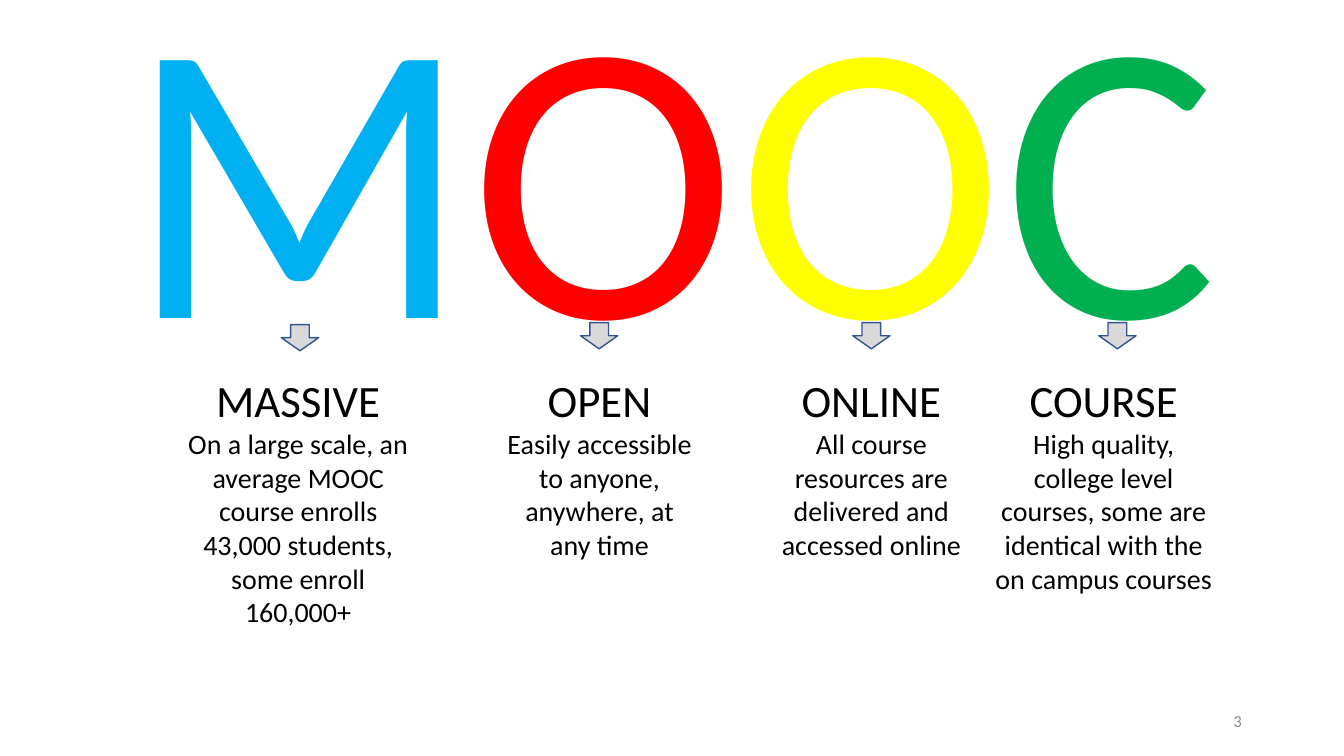
from pptx import Presentation
from pptx.dml.color import RGBColor
from pptx.enum import shapes, text
from pptx.util import Cm, Pt

BLUE = RGBColor(0x00, 0xB0, 0xF0)
RED = RGBColor(0xFF, 0x00, 0x00)
YELLOW = RGBColor(0xFF, 0xFF, 0x00)
GREEN = RGBColor(0x00, 0xB0, 0x50)
BLACK = RGBColor(0x00, 0x00, 0x00)
GREY = RGBColor(0x8C, 0x8C, 0x8C)
ARROW_FILL = RGBColor(0xD9, 0xD9, 0xD9)
ARROW_LINE = RGBColor(0x32, 0x54, 0x91)

FONT = "Calibri"
LETTERS = [("M", BLUE), ("O", RED), ("O", YELLOW), ("C", GREEN)]
COLUMNS = [
    (4.29, 6.45, 6.76, "MASSIVE",
     "On a large scale, an average MOOC course enrolls 43,000 students, some enroll 160,000+"),
    (12.52, 5.18, 6.4, "OPEN",
     "Easily accessible to anyone, anywhere, at any time"),
    (19.1, 5.72, 5.05, "ONLINE",
     "All course resources are delivered and accessed online"),
    (24.82, 5.99, 5.89, "COURSE",
     "High quality, college level courses, some are identical with the on campus courses"),
]
ARROWS = [(7.09, 8.18), (14.63, 8.13), (21.49, 8.13), (27.69, 8.13)]


def add_text_frame(slide, left, top, width, height, anchor):
    box = slide.shapes.add_textbox(Cm(left), Cm(top), Cm(width), Cm(height))
    frame = box.text_frame
    frame.word_wrap = True
    frame.vertical_anchor = anchor
    return frame


def add_run(paragraph, words, size, color):
    run = paragraph.add_run()
    run.text = words
    run.font.name = FONT
    run.font.size = Pt(size)
    run.font.color.rgb = color


def add_title(slide):
    frame = add_text_frame(slide, 2.34, 1.02, 29.21, 7.44, text.MSO_ANCHOR.MIDDLE)
    paragraph = frame.paragraphs[0]
    paragraph.alignment = text.PP_ALIGN.CENTER
    paragraph.line_spacing = 0.9
    for letter, color in LETTERS:
        add_run(paragraph, letter, 287, color)


def add_column(slide, left, width, height, heading, description):
    frame = add_text_frame(slide, left, 9.27, width, height, text.MSO_ANCHOR.TOP)
    frame.auto_size = text.MSO_AUTO_SIZE.SHAPE_TO_FIT_TEXT
    heading_paragraph = frame.paragraphs[0]
    description_paragraph = frame.add_paragraph()
    add_run(heading_paragraph, heading, 32, BLACK)
    add_run(description_paragraph, description, 20, BLACK)
    for paragraph in frame.paragraphs:
        paragraph.alignment = text.PP_ALIGN.CENTER


def add_down_arrow(slide, left, top):
    arrow = slide.shapes.add_shape(
        shapes.MSO_SHAPE.DOWN_ARROW, Cm(left), Cm(top), Cm(0.94), Cm(0.66))
    arrow.shadow.inherit = False
    arrow.fill.solid()
    arrow.fill.fore_color.rgb = ARROW_FILL
    arrow.line.color.rgb = ARROW_LINE
    arrow.line.width = Pt(1)


def add_slide_number(slide):
    frame = add_text_frame(slide, 23.93, 17.65, 7.62, 1.02, text.MSO_ANCHOR.MIDDLE)
    paragraph = frame.paragraphs[0]
    paragraph.alignment = text.PP_ALIGN.RIGHT
    add_run(paragraph, "3", 12, GREY)


def main():
    presentation = Presentation()
    presentation.slide_width = Cm(33.87)
    presentation.slide_height = Cm(19.05)
    slide = presentation.slides.add_slide(presentation.slide_layouts[6])
    add_title(slide)
    add_slide_number(slide)
    for column in COLUMNS:
        add_column(slide, *column)
    for left, top in ARROWS:
        add_down_arrow(slide, left, top)
    presentation.save("out.pptx")


if __name__ == "__main__":
    main()
